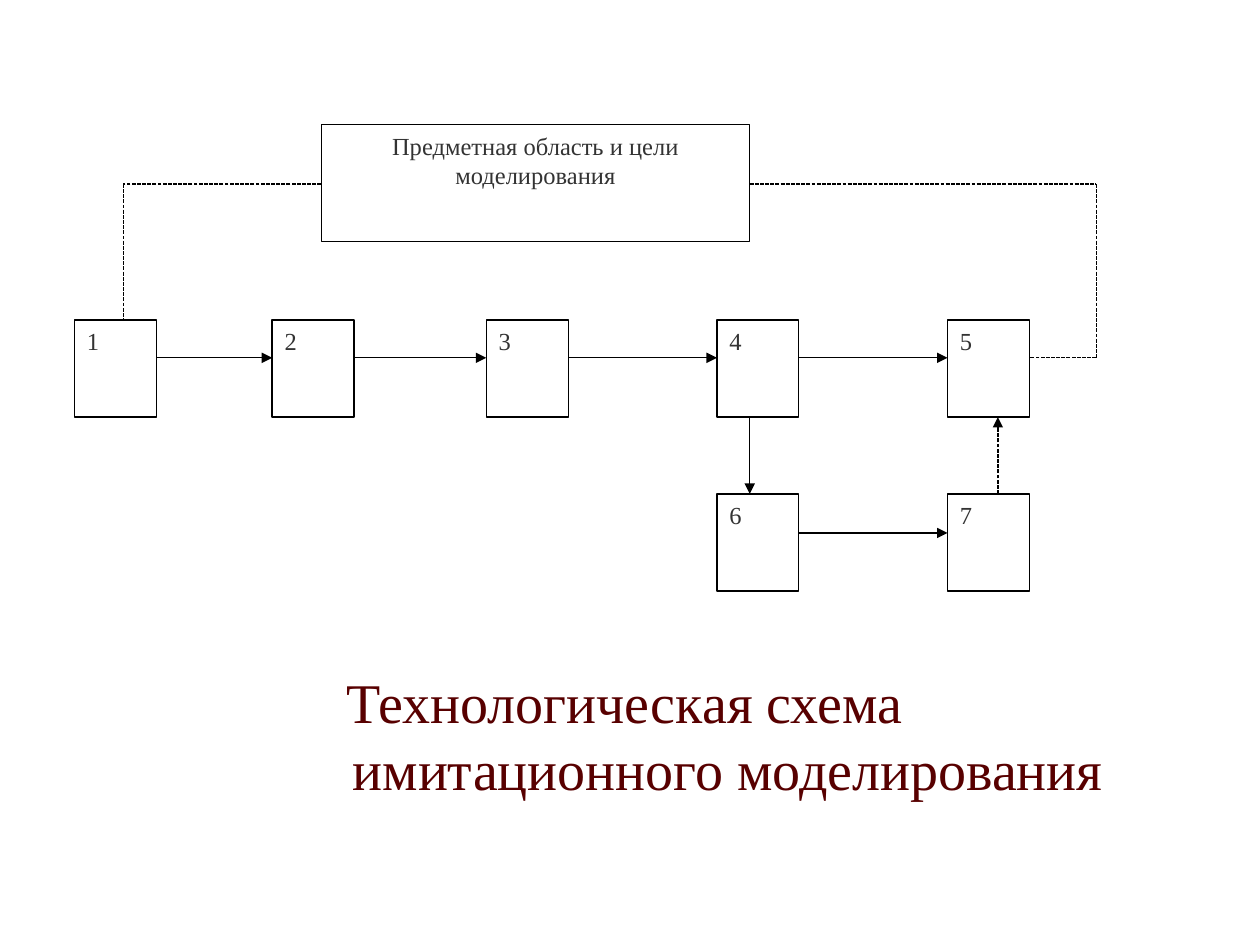
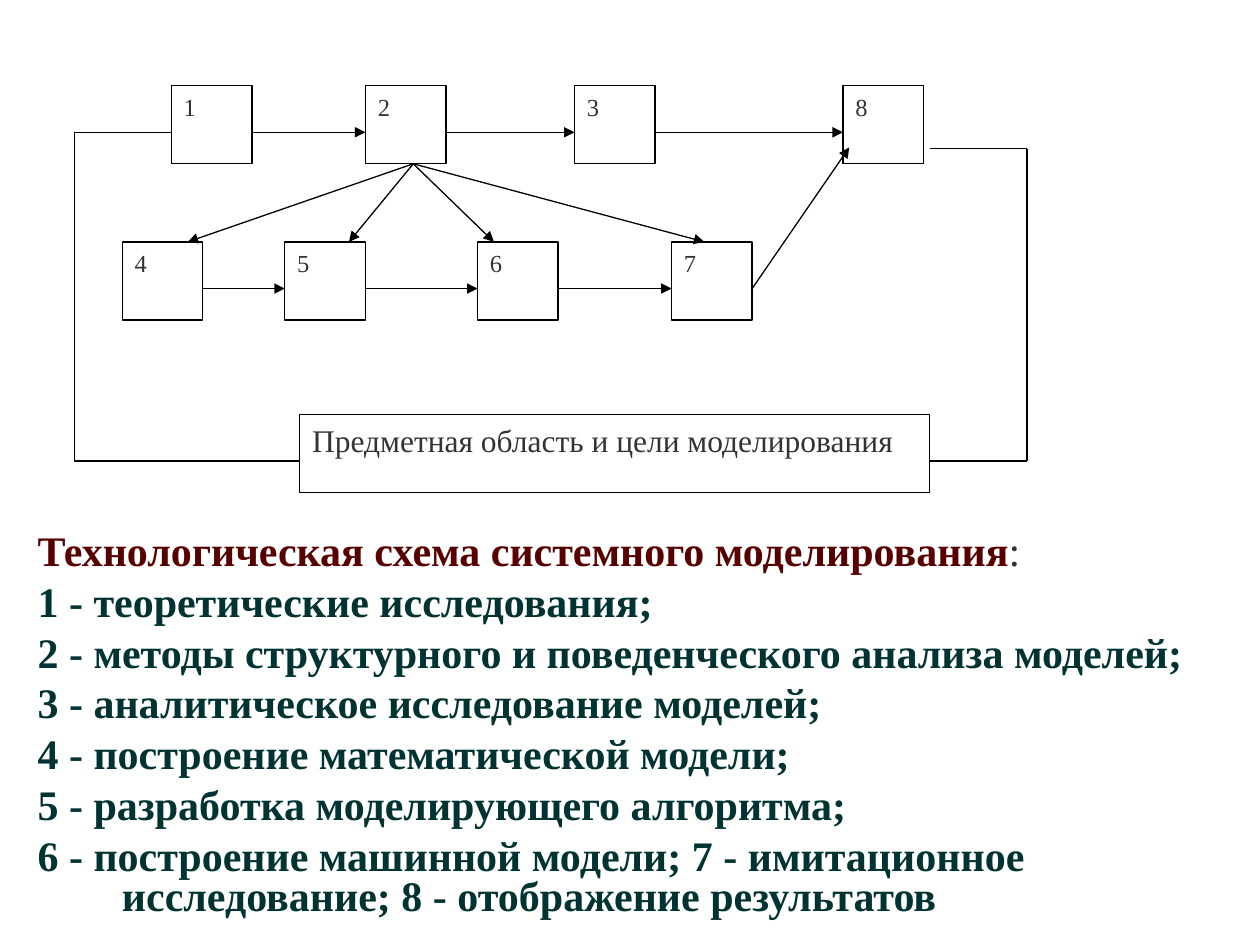
from dataclasses import dataclass
from itertools import pairwise

from pptx import Presentation
from pptx.dml.color import RGBColor
from pptx.enum.dml import MSO_LINE
from pptx.enum.shapes import MSO_CONNECTOR, MSO_SHAPE
from pptx.enum.text import MSO_ANCHOR, PP_ALIGN
from pptx.oxml.ns import qn
from pptx.util import Inches, Pt
from lxml.etree import SubElement


@dataclass(frozen=True)
class Theme:
    font: str = "Times New Roman"
    paper: str = "FFFFFF"
    ink: str = "000000"
    text: str = "333333"
    heading: str = "580000"
    legend: str = "003332"
    label_size: int = 14
    goal_size: int = 18
    legend_size: int = 24
    title_size: int = 32
    line_width: float = 0.75


THEME = Theme()
GOAL = "Предметная область и цели моделирования"
FRAME = {
    "word_wrap": True,
    "vertical_anchor": MSO_ANCHOR.TOP,
    "margin_left": Inches(0.1),
    "margin_right": Inches(0.1),
    "margin_top": Inches(0.05),
    "margin_bottom": Inches(0.05),
}
LEGEND = [
    "1 - теоретические исследования;",
    "2 - методы структурного и поведенческого анализа моделей;",
    "3 - аналитическое исследование моделей;",
    "4 - построение математической модели;",
    "5 - разработка моделирующего алгоритма;",
    "6 - построение машинной модели; 7 - имитационное исследование; "
    "8 - отображение результатов",
]


def set_format(target, values):
    for name, value in values.items():
        setattr(target, name, value)


def add_span(para, text, size, color=THEME.text, bold=False):
    span = para.add_run()
    span.text = text
    set_format(span.font, {"name": THEME.font, "size": Pt(size), "bold": bold})
    span.font.color.rgb = RGBColor.from_string(color)


def set_indent(para, left, first):
    """Left margin and first-line offset, in inches."""
    properties = para._p.get_or_add_pPr()
    properties.set("marL", str(Inches(left)))
    properties.set("indent", str(Inches(first)))


def set_line(line):
    line.width = Pt(THEME.line_width)
    line.color.rgb = RGBColor.from_string(THEME.ink)


def add_box(page, place, text, size=THEME.label_size, align=PP_ALIGN.LEFT):
    box = page.shapes.add_shape(MSO_SHAPE.RECTANGLE, *map(Inches, place))
    box.shadow.inherit = False
    box.fill.solid()
    box.fill.fore_color.rgb = RGBColor.from_string(THEME.paper)
    set_line(box.line)
    set_format(box.text_frame, FRAME)
    para = box.text_frame.paragraphs[0]
    para.alignment = align
    add_span(para, text, size)


def add_row(page, lefts, top, size, labels):
    for left, label in zip(lefts, labels):
        add_box(page, (left, top, *size), label)


def add_line(page, start, end, arrow=False, dashed=False):
    line = page.shapes.add_connector(
        MSO_CONNECTOR.STRAIGHT, *map(Inches, (*start, *end)))
    set_line(line.line)
    if dashed:
        line.line.dash_style = MSO_LINE.SQUARE_DOT
    if arrow:
        SubElement(line.line._get_or_add_ln(), qn("a:tailEnd"), type="triangle")
    SubElement(line._element.spPr, qn("a:effectLst"))


def add_row_arrows(page, lefts, width, y):
    for left, following in pairwise(lefts):
        add_line(page, (left + width, y), (following, y), arrow=True)


def add_route(page, points, dashed=False):
    for start, end in pairwise(points):
        add_line(page, start, end, dashed=dashed)


def add_text(page, place):
    frame = page.shapes.add_textbox(*map(Inches, place)).text_frame
    set_format(frame, FRAME)
    return frame


def build_simulation_scheme(page):
    # Title below the diagram
    para = add_text(page, (2.32, 5.25, 6.61, 1.42)).paragraphs[0]
    para.space_before = Pt(8)
    set_indent(para, 0.38, -0.05)
    add_span(para, "Технологическая схема имитационного моделирования",
             THEME.title_size, THEME.heading)

    # Goal and numbered stages
    width, height = size = 0.65, 0.77
    upper, lower = 2.54, 3.92
    lefts = [0.59, 2.16, 3.86, 5.69, 7.52]
    add_box(page, (2.55, 0.99, 3.4, 0.93), GOAL, align=PP_ALIGN.CENTER)
    add_row(page, lefts, upper, size, "12345")
    add_row(page, lefts[3:], lower, size, "67")

    # Links from the goal to the first and last stages
    add_route(page, [(2.55, 1.46), (0.98, 1.46), (0.98, upper)], dashed=True)
    add_route(page, [(5.95, 1.46), (8.7, 1.46), (8.7, 2.84), (8.17, 2.84)],
              dashed=True)

    # Order of the stages
    add_row_arrows(page, lefts, width, 2.84)
    add_row_arrows(page, lefts[3:], width, 4.23)
    add_line(page, (5.95, upper + height), (5.95, lower), arrow=True)
    add_line(page, (7.92, lower), (7.92, upper + height), arrow=True, dashed=True)


def build_system_scheme(page):
    # Heading and legend
    frame = add_text(page, (0.2, 4.19, 9.8, 3.31))
    heading = frame.paragraphs[0]
    add_span(heading, "Технологическая схема системного моделирования",
             THEME.legend_size, THEME.heading, bold=True)
    add_span(heading, ":", THEME.legend_size)
    for entry in LEGEND:
        add_span(frame.add_paragraph(), entry, THEME.legend_size,
                 THEME.legend, bold=True)
    for para in frame.paragraphs:
        set_format(para, {"line_spacing": 0.8, "space_before": Pt(6)})
        set_indent(para, 0.67, -0.67)

    # Numbered stages and goal
    width, height = size = 0.64, 0.62
    upper, lower = 0.68, 1.92
    upper_lefts = [1.36, 2.9, 4.56, 6.69]
    lower_lefts = [0.97, 2.26, 3.79, 5.33]
    add_row(page, upper_lefts, upper, size, "1238")
    add_row(page, lower_lefts, lower, size, "4567")
    add_box(page, (2.38, 3.29, 5, height), GOAL, THEME.goal_size)

    # Order of the stages
    add_row_arrows(page, upper_lefts, width, 1.05)
    add_row_arrows(page, lower_lefts, width, 2.29)
    add_line(page, (5.97, 2.29), (6.74, 1.17), arrow=True)
    for x in (1.49, 2.77, 3.92, 5.59):
        add_line(page, (3.28, upper + height), (x, lower), arrow=True)

    # Links from the goal to the first and last stages
    add_route(page, [(1.36, 1.05), (0.59, 1.05), (0.59, 3.66), (2.38, 3.66)])
    add_route(page, [(7.38, 3.66), (8.15, 3.66), (8.15, 1.18), (7.38, 1.18)])


def main():
    deck = Presentation()
    set_format(deck, {"slide_width": Inches(10), "slide_height": Inches(7.5)})
    for build in (build_simulation_scheme, build_system_scheme):
        build(deck.slides.add_slide(deck.slide_layouts[6]))
    deck.save("out.pptx")


if __name__ == "__main__":
    main()
